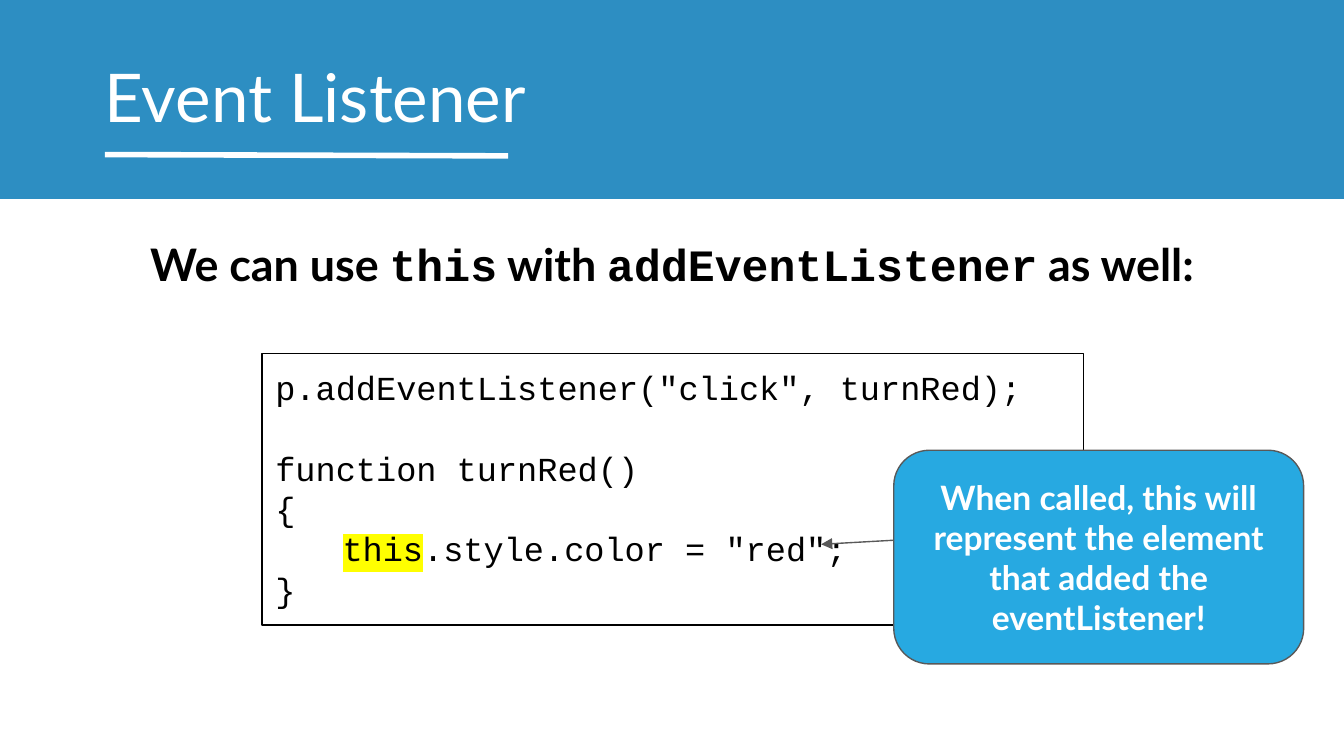
from typing import NamedTuple, Optional

from lxml.etree import SubElement
from pptx import Presentation
from pptx.dml.color import RGBColor
from pptx.enum.shapes import MSO_CONNECTOR, MSO_SHAPE
from pptx.enum.text import MSO_ANCHOR, PP_ALIGN
from pptx.oxml.ns import qn
from pptx.util import Inches, Pt

W = 10
H = W * 9 / 16
SANS, MONO = "Lato", "Courier New"
WHITE, BLACK, GREY = "FFFFFF", "000000", "595959"
CODE_LEADING = 21.6


class Box(NamedTuple):
    """Left, top, width and height as shares of the slide's size."""
    x: float
    y: float
    w: float
    h: float

    def emu(self):
        return [Inches(v) for v in (self.x * W, self.y * H, self.w * W, self.h * H)]


class Run(NamedTuple):
    text: str
    font: str = SANS
    mark: Optional[str] = None


class Style(NamedTuple):
    size: float
    color: str
    bold: bool = False
    align: PP_ALIGN = PP_ALIGN.LEFT


class CodeLine(NamedTuple):
    runs: list
    indent: float = 0
    gap_lines: int = 0


def rgb(value: str) -> RGBColor:
    return RGBColor.from_string(value)


def add_shape(slide, kind, box: Box, fill: Optional[str] = None, line: Optional[str] = None):
    sp = slide.shapes.add_shape(kind, *box.emu())
    sp.shadow.inherit = False
    if fill:
        sp.fill.solid()
        sp.fill.fore_color.rgb = rgb(fill)
    else:
        sp.fill.background()
    if line:
        sp.line.color.rgb = rgb(line)
        sp.line.width = Pt(0.75)
    else:
        sp.line.fill.background()
    return sp


def add_line(slide, start, end, color: str, width: float, arrow: bool = False) -> None:
    points = [Inches(v) for v in (*start, *end)]
    cxn = slide.shapes.add_connector(MSO_CONNECTOR.STRAIGHT, *points)
    cxn.line.color.rgb = rgb(color)
    cxn.line.width = Pt(width)
    if arrow:
        ln = cxn._element.spPr.find(qn("a:ln"))
        SubElement(ln, qn("a:tailEnd"), type="triangle")
    SubElement(cxn._element.spPr, qn("a:effectLst"))


def set_frame(sp, anchor=MSO_ANCHOR.TOP):
    tf = sp.text_frame
    tf.word_wrap = True
    tf.vertical_anchor = anchor
    tf.margin_left = tf.margin_right = tf.margin_top = tf.margin_bottom = Inches(0.1)
    return tf


def write(p, runs: list, style: Style) -> None:
    p.alignment = style.align
    for item in runs:
        r = p.add_run()
        r.text = item.text
        r.font.size = Pt(style.size)
        r.font.bold = style.bold
        r.font.color.rgb = rgb(style.color)
        if item.mark:
            # A highlight has to follow the fill and precede the typeface
            mark = SubElement(r.font._element, qn("a:highlight"))
            SubElement(mark, qn("a:srgbClr"), val=item.mark)
        r.font.name = item.font


def add_text(slide, box: Box, runs: list, style: Style):
    tf = set_frame(slide.shapes.add_textbox(*box.emu()))
    write(tf.paragraphs[0], runs, style)
    return tf


def add_code(slide, box: Box, lines: list) -> None:
    tf = set_frame(add_shape(slide, MSO_SHAPE.RECTANGLE, box, line=BLACK))
    for i, line in enumerate(lines):
        p = tf.add_paragraph() if i else tf.paragraphs[0]
        p.line_spacing = Pt(CODE_LEADING)
        p.space_before = Pt(CODE_LEADING * line.gap_lines)
        p._p.get_or_add_pPr().set("indent", str(Inches(line.indent)))
        write(p, line.runs, Style(18, BLACK))


CODE = [
    CodeLine([Run('p.addEventListener("click", turnRed);', MONO)]),
    CodeLine([Run("function turnRed()", MONO)], gap_lines=1),
    CodeLine([Run("{", MONO)]),
    CodeLine([Run("this", MONO, "FFFF00"), Run('.style.color = "red";', MONO)], indent=0.5),
    CodeLine([Run("}", MONO)]),
]
HEADING = [
    Run("We can use "), Run("this", MONO), Run(" with "),
    Run("addEventListener", MONO), Run(" as well:"),
]
NOTE = "When called, this will represent the element that added the eventListener!"


def main() -> None:
    prs = Presentation()
    prs.slide_width, prs.slide_height = Inches(W), Inches(H)
    s = prs.slides.add_slide(prs.slide_layouts[6])

    # Header band with its underline
    add_shape(s, MSO_SHAPE.RECTANGLE, Box(0, 0, 1, 1.48 / H), fill="2D8EC2")
    add_line(s, (0.78, 1.15), (3.78, 1.16), WHITE, 3)

    # Code listing
    add_code(s, Box(0.195, 2.63 / H, 0.611, 2.02 / H), CODE)

    # Title and heading
    add_text(s, Box(0.068, 0.31 / H, 0.932, 0.63 / H), [Run("Event Listener")], Style(36, WHITE))
    tf = add_text(s, Box(0.034, 1.6 / H, 0.932, 0.63 / H), HEADING,
                  Style(24, BLACK, True, PP_ALIGN.CENTER))
    tf.paragraphs[0].line_spacing = 1.15

    # Callout pointing at the marked line
    add_line(s, (6.65, 4.02), (6.11, 4.05), GREY, 0.75, arrow=True)
    callout = add_shape(s, MSO_SHAPE.ROUNDED_RECTANGLE,
                        Box(0.665, 3.35 / H, 0.305, 1.59 / H), "27A9E1", GREY)
    tf = set_frame(callout, MSO_ANCHOR.MIDDLE)
    write(tf.paragraphs[0], [Run(NOTE)], Style(18, WHITE, True, PP_ALIGN.CENTER))

    prs.save("out.pptx")


if __name__ == "__main__":
    main()
